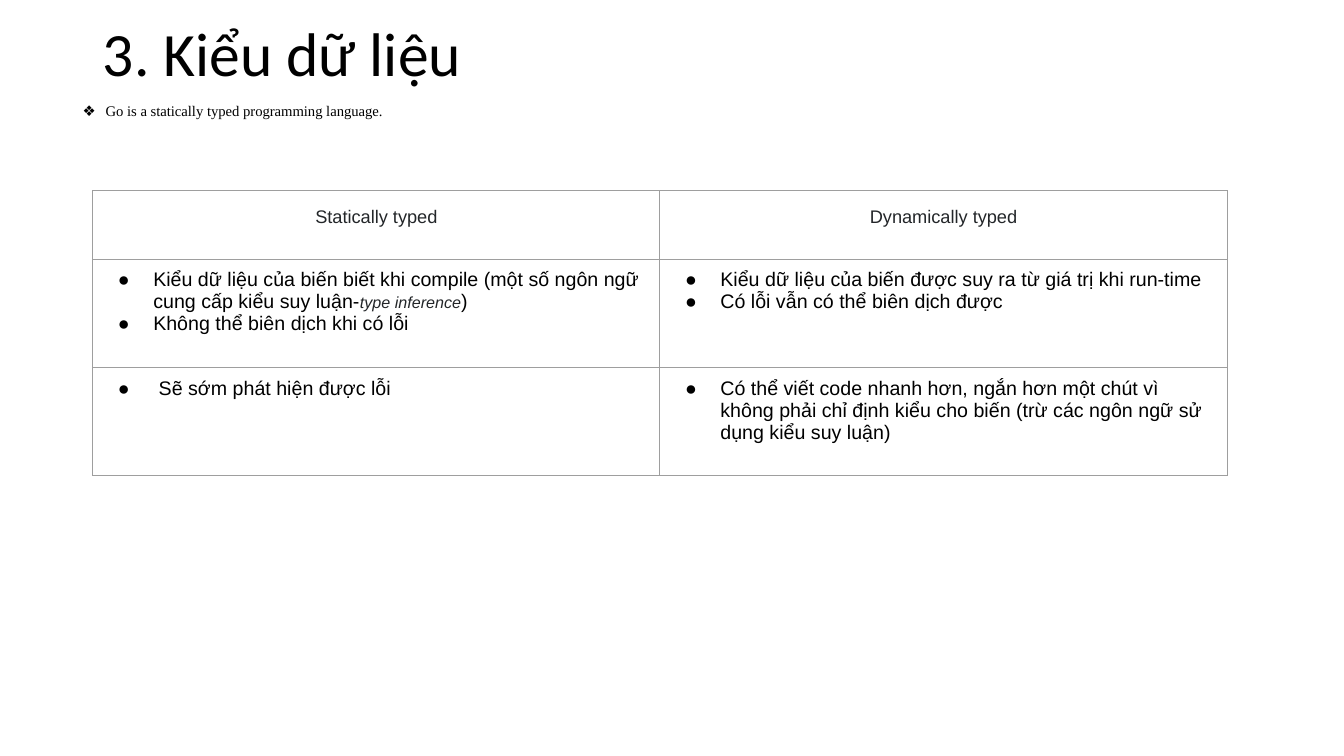
from lxml import etree
from pptx import Presentation
from pptx.dml.color import RGBColor
from pptx.enum.text import MSO_ANCHOR, MSO_AUTO_SIZE, PP_ALIGN
from pptx.oxml.ns import qn
from pptx.util import Inches, Pt

LEFT, CENTER = PP_ALIGN.LEFT, PP_ALIGN.CENTER
TOP, MIDDLE = MSO_ANCHOR.TOP, MSO_ANCHOR.MIDDLE
NO_AUTOFIT = MSO_AUTO_SIZE.NONE
TITLE_ONLY = 5
BLACK, CHARCOAL, BORDER_GRAY = "000000", "232629", "9E9E9E"

TITLE_BOX = (0.92, 0.17, 11.5, 0.78)
STATEMENT_BOX = (0.7, 1, 11.79, 0.8)
TABLE_BOX = (0.92, 1.89, 11.25, 2.83)
ROW_SHARES = (0.24, 0.38, 0.38)
HEADINGS = ("Statically typed", "Dynamically typed")
COMPARISON = (
    (
        (
            (
                "Kiểu dữ liệu của biến biết khi compile "
                "(một số ngôn ngữ cung cấp kiểu suy luận-",
                ("type inference", {"size": 11.5, "color": CHARCOAL, "italic": True}),
                ")",
            ),
            ("Không thể biên dịch khi có lỗi",),
        ),
        (
            ("Kiểu dữ liệu của biến được suy ra từ giá trị khi run-time",),
            ("Có lỗi vẫn có thể biên dịch được",),
        ),
    ),
    (
        ((" Sẽ sớm phát hiện được lỗi",),),
        (
            (
                "Có thể viết code nhanh hơn, ngắn hơn một chút vì không phải "
                "chỉ định kiểu cho biến (trừ các ngôn ngữ sử dụng kiểu suy luận)",
            ),
        ),
    ),
)


def rgb(color):
    """Turn a hex string into a colour."""
    return RGBColor.from_string(color)


def add_solid_color(parent, tag, color):
    """Append an element that holds one sRGB colour."""
    holder = etree.SubElement(parent, qn(tag))
    etree.SubElement(holder, qn("a:srgbClr"), val=color)


def add_run(paragraph, text, size=14, font="Arial", color=BLACK, italic=False):
    """Add one formatted run to a paragraph."""
    run = paragraph.add_run()
    run.text = text
    run.font.size = Pt(size)
    run.font.name = font
    run.font.color.rgb = rgb(color)
    run.font.italic = italic


def set_bullet(paragraph, character, indent, hanging):
    """Give a paragraph a black bullet with a hanging indent."""
    properties = paragraph._p.get_or_add_pPr()
    properties.set("marL", str(Inches(indent)))
    properties.set("indent", str(-Inches(hanging)))
    add_solid_color(properties, "a:buClr", BLACK)
    etree.SubElement(properties, qn("a:buFont"), typeface="Arial")
    etree.SubElement(properties, qn("a:buChar"), char=character)


def write_paragraph(paragraph, pieces, align=LEFT, spacing=1.0, bullet=None, **style):
    """Fill a paragraph with plain pieces or (text, format) pieces."""
    paragraph.alignment = align
    paragraph.line_spacing = spacing
    if bullet:
        set_bullet(paragraph, *bullet)
    for piece in pieces:
        text, changes = (piece, {}) if isinstance(piece, str) else piece
        add_run(paragraph, text, **{**style, **changes})


def format_cell(cell):
    """Clear a cell's fill, set its margins and draw its four borders."""
    cell.fill.background()
    cell.vertical_anchor = TOP
    cell.margin_left = cell.margin_right = Inches(0.1)
    cell.margin_top = cell.margin_bottom = Inches(0.1)
    properties = cell._tc.get_or_add_tcPr()
    for position, side in enumerate(("lnL", "lnR", "lnT", "lnB")):
        line = etree.Element(qn(f"a:{side}"), w=str(Pt(0.75)))
        add_solid_color(line, "a:solidFill", BORDER_GRAY)
        properties.insert(position, line)


def place_title(slide, box):
    """Move and format the title placeholder."""
    title = slide.shapes.title
    title.left, title.top, title.width, title.height = map(Inches, box)
    frame = title.text_frame
    frame.auto_size = NO_AUTOFIT
    frame.vertical_anchor = MIDDLE
    write_paragraph(frame.paragraphs[0], ["3. Kiểu dữ liệu"],
                    spacing=0.9, size=44, font="Calibri")


def add_statement(slide, box):
    """Add the bulleted statement under the title."""
    frame = slide.shapes.add_textbox(*map(Inches, box)).text_frame
    frame.word_wrap = True
    write_paragraph(frame.paragraphs[0],
                    ["Go is a statically typed programming language."],
                    spacing=0.8, bullet=("❖", 0.25, 0.23),
                    size=10.5, font="Times New Roman")


def add_comparison(slide, box):
    """Add the table that compares the two kinds of typing."""
    shape = slide.shapes.add_table(
        len(ROW_SHARES), len(HEADINGS), *map(Inches, box))
    table = shape.table
    table.first_row = table.horz_banding = False
    for row, share in zip(table.rows, ROW_SHARES):
        row.height = Inches(box[3] * share)
    for cell in table.iter_cells():
        format_cell(cell)
    for column, heading in enumerate(HEADINGS):
        paragraph = table.cell(0, column).text_frame.paragraphs[0]
        write_paragraph(paragraph, [heading], align=CENTER, spacing=1.3,
                        size=13, color=CHARCOAL)
    for row, entries in enumerate(COMPARISON, start=1):
        for column, points in enumerate(entries):
            frame = table.cell(row, column).text_frame
            for index, pieces in enumerate(points):
                paragraph = frame.add_paragraph() if index else frame.paragraphs[0]
                write_paragraph(paragraph, pieces, bullet=("●", 0.5, 0.35))


def main():
    """Build the slide on data types and save it."""
    presentation = Presentation()
    presentation.slide_width = Inches(13.33)
    presentation.slide_height = Inches(7.5)
    slide = presentation.slides.add_slide(presentation.slide_layouts[TITLE_ONLY])
    place_title(slide, TITLE_BOX)
    add_statement(slide, STATEMENT_BOX)
    add_comparison(slide, TABLE_BOX)
    presentation.save("out.pptx")


main()
